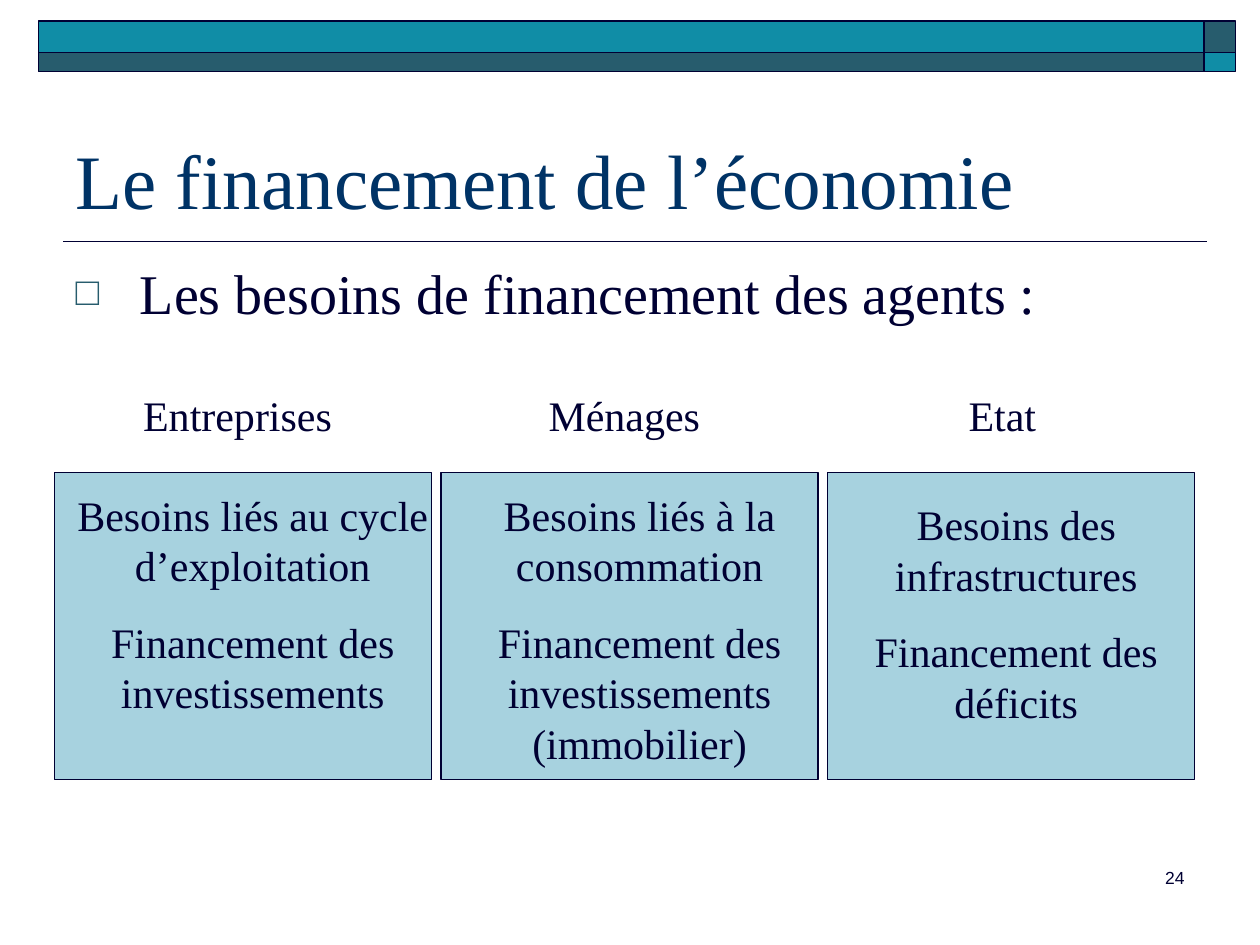
"""Build the slide on the financing needs of economic agents."""
from dataclasses import dataclass

from lxml import etree
from pptx import Presentation
from pptx.dml.color import RGBColor
from pptx.enum.shapes import MSO_CONNECTOR, MSO_SHAPE
from pptx.enum.text import MSO_ANCHOR, MSO_AUTO_SIZE, PP_ALIGN
from pptx.oxml.ns import qn
from pptx.util import Pt

RECTANGLE = MSO_SHAPE.RECTANGLE
STRAIGHT = MSO_CONNECTOR.STRAIGHT
BOTTOM, TOP = MSO_ANCHOR.BOTTOM, MSO_ANCHOR.TOP
NO_AUTOFIT = MSO_AUTO_SIZE.NONE
LEFT, CENTER, RIGHT = PP_ALIGN.LEFT, PP_ALIGN.CENTER, PP_ALIGN.RIGHT

INK, NAVY, TEAL, SLATE, PALE = "000033", "003366", "108DA6", "275C6D", "A7D2DF"
SERIF, SANS = "Times New Roman", "Arial"


@dataclass
class Box:
    left: float
    top: float
    width: float
    height: float

    def lengths(self) -> tuple:
        return Pt(self.left), Pt(self.top), Pt(self.width), Pt(self.height)


@dataclass
class Agent:
    name: str
    needs: tuple
    heading: Box
    panel: Box
    details: Box


def color(value: str) -> RGBColor:
    """Turn a hex string into a colour."""
    return RGBColor.from_string(value)


def draw_rectangle(slide, box: Box, fill: str, line_width: float) -> None:
    """Draw a filled, outlined rectangle."""
    rectangle = slide.shapes.add_shape(RECTANGLE, *box.lengths())
    rectangle.shadow.inherit = False
    rectangle.fill.solid()
    rectangle.fill.fore_color.rgb = color(fill)
    rectangle.line.color.rgb = color(INK)
    rectangle.line.width = Pt(line_width)


def format_paragraph(paragraph, size: float, font: str, ink: str, align) -> None:
    """Set the alignment and font of a paragraph."""
    paragraph.alignment = align
    for run in paragraph.runs:
        run.font.size = Pt(size)
        run.font.name = font
        run.font.color.rgb = color(ink)


def draw_text(slide, box: Box, lines: tuple, size=24, font=SERIF, align=CENTER) -> None:
    """Draw a wrapped text box with one paragraph per line."""
    frame = slide.shapes.add_textbox(*box.lengths()).text_frame
    frame.word_wrap = True
    frame.text = "\n".join(lines)
    for index, paragraph in enumerate(frame.paragraphs):
        format_paragraph(paragraph, size, font, INK, align)
        paragraph.line_spacing = Pt(size * 1.2)
        paragraph.space_before = Pt(15 if index else 0)


def fill_placeholder(placeholder, box: Box, text: str, size: float, ink: str, anchor):
    """Move and format a placeholder, and return its paragraph."""
    placeholder.left, placeholder.top, placeholder.width, placeholder.height = box.lengths()
    frame = placeholder.text_frame
    frame.text = text
    frame.word_wrap = True
    frame.auto_size = NO_AUTOFIT
    frame.vertical_anchor = anchor
    paragraph = frame.paragraphs[0]
    format_paragraph(paragraph, size, SERIF, ink, LEFT)
    paragraph.space_before = Pt(0)
    return paragraph


def add_square_bullet(paragraph, indent: float) -> None:
    """Give a paragraph a hollow square bullet and a hanging indent."""
    properties = paragraph._p.get_or_add_pPr()
    properties.set("marL", str(Pt(indent)))
    properties.set("indent", str(-Pt(indent)))
    bullet_color = etree.SubElement(properties, qn("a:buClr"))
    etree.SubElement(bullet_color, qn("a:srgbClr"), val=SLATE)
    etree.SubElement(properties, qn("a:buSzPct"), val="70000")
    etree.SubElement(properties, qn("a:buFont"), typeface=SANS)
    etree.SubElement(properties, qn("a:buChar"), char="□")


def draw_banner(slide) -> None:
    """Draw the two-row banner and the rule under the title."""
    for top, height, wide, corner in ((12, 18, TEAL, SLATE), (30, 11, SLATE, TEAL)):
        draw_rectangle(slide, Box(22, top, 666, height), wide, 1)
        draw_rectangle(slide, Box(688, top, 18, height), corner, 1)
    rule = slide.shapes.add_connector(STRAIGHT, Pt(36), Pt(138), Pt(690), Pt(138))
    rule.line.color.rgb = color(INK)
    rule.line.width = Pt(1)
    etree.SubElement(rule._element.spPr, qn("a:effectLst"))


def draw_agent(slide, agent: Agent) -> None:
    """Draw one agent's heading, panel and needs."""
    draw_rectangle(slide, agent.panel, PALE, 0.75)
    draw_text(slide, agent.heading, (agent.name,))
    draw_text(slide, agent.details, agent.needs)


def main() -> None:
    """Assemble and save the slide."""
    deck = Presentation()
    deck.slide_width, deck.slide_height = Pt(720), Pt(540)
    slide = deck.slides.add_slide(deck.slide_layouts[1])
    draw_banner(slide)
    fill_placeholder(slide.shapes.title, Box(36, 42, 648, 90),
                     "Le financement de l’économie", 44, NAVY, BOTTOM)
    topic = fill_placeholder(slide.placeholders[1], Box(36, 144, 648, 81),
                             "Les besoins de financement des agents :", 32, INK, TOP)
    add_square_bullet(topic, 36.75)

    agents = (
        Agent("Entreprises",
              ("Besoins liés au cycle d’exploitation", "Financement des investissements"),
              Box(31, 219, 209.5, 36), Box(31, 270, 215.5, 175.5),
              Box(36.75, 276, 215.5, 137.5)),
        Agent("Ménages",
              ("Besoins liés à la consommation", "Financement des investissements (immobilier)"),
              Box(252, 219, 209.5, 36), Box(252, 270, 215.5, 175.5),
              Box(257.75, 276, 215.5, 166.5)),
        Agent("Etat",
              ("Besoins des infrastructures", "Financement des déficits"),
              Box(468, 219, 209.5, 36), Box(473, 270, 209.5, 175.5),
              Box(473, 281.5, 215.5, 137.5)),
    )
    for agent in agents:
        draw_agent(slide, agent)
    draw_text(slide, Box(534, 492, 150, 36), ("24",), 10, SANS, RIGHT)
    deck.save("out.pptx")


if __name__ == "__main__":
    main()
